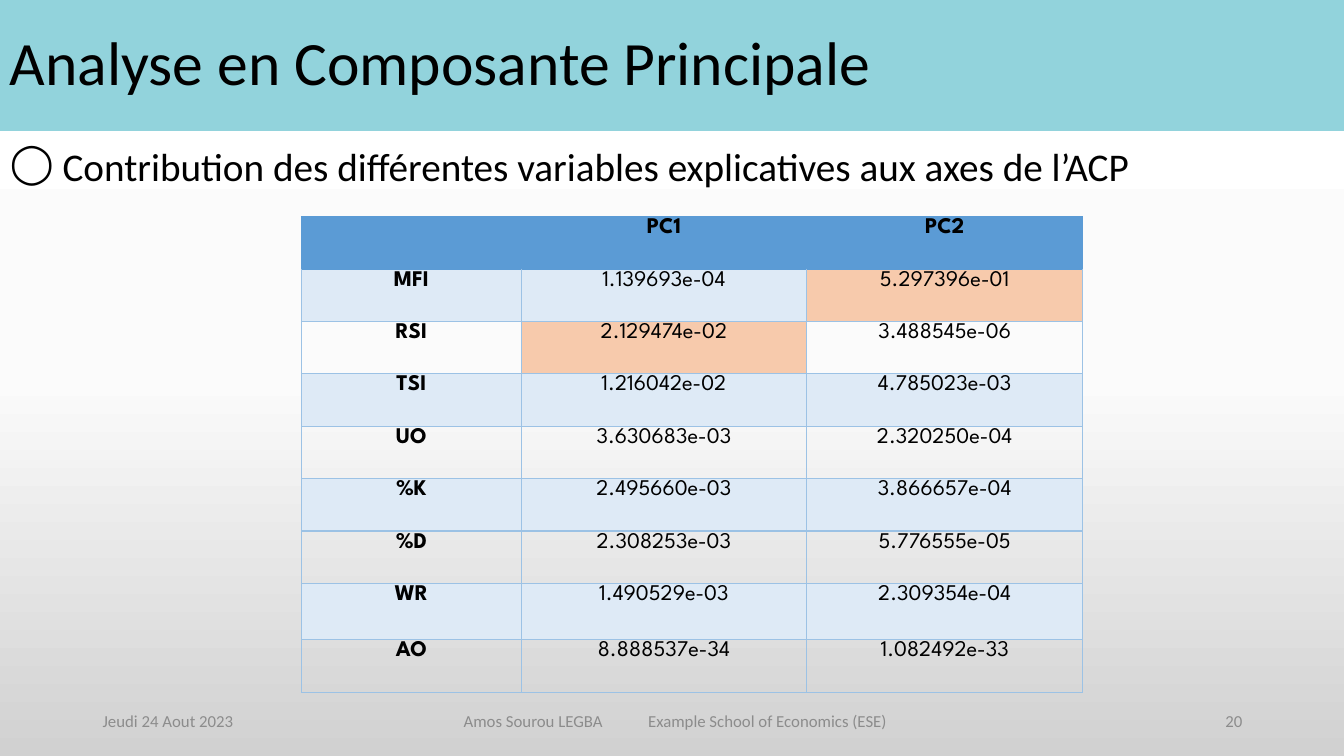
from copy import deepcopy

from lxml import etree
from pptx import Presentation
from pptx.dml.color import RGBColor
from pptx.enum.shapes import MSO_SHAPE
from pptx.enum.text import MSO_ANCHOR, PP_ALIGN
from pptx.oxml.ns import qn
from pptx.util import Pt

EMU_PER_PX = 9144
LEFT, CENTER, RIGHT = PP_ALIGN.LEFT, PP_ALIGN.CENTER, PP_ALIGN.RIGHT
TOP, MIDDLE = MSO_ANCHOR.TOP, MSO_ANCHOR.MIDDLE
RECTANGLE = MSO_SHAPE.RECTANGLE

BLACK = RGBColor(0x00, 0x00, 0x00)
GREY = RGBColor(0x8C, 0x8C, 0x8C)
TEAL = RGBColor(0x92, 0xD3, 0xDC)
BLUE = RGBColor(0x5B, 0x9B, 0xD5)
LINE_BLUE = RGBColor(0x9C, 0xC2, 0xE5)
PALE_BLUE = RGBColor(0xDE, 0xEA, 0xF6)
PEACH = RGBColor(0xF7, 0xCA, 0xAC)
BACKGROUND = [
    (0, RGBColor(0xFF, 0xFF, 0xFF)),
    (0.5, RGBColor(0xFB, 0xFB, 0xFB)),
    (1, RGBColor(0xD1, 0xD1, 0xD1)),
]

TITLE = {"size": Pt(44), "name": "Calibri"}
BODY = {"size": Pt(28), "name": "Calibri"}
FOOTER = {"size": Pt(12), "name": "Calibri"}
CELL = {"size": Pt(16), "name": "League Spartan", "bold": False}
CELL_BOLD = {**CELL, "bold": True}

COLUMNS = [218, 283, 274]
ROWS = [52] * 7 + [56, 52]
CONTRIBUTIONS = [
    ("", "PC1", "PC2"),
    ("MFI", "1.139693e-04", "5.297396e-01"),
    ("RSI", "2.129474e-02", "3.488545e-06"),
    ("TSI", "1.216042e-02", "4.785023e-03"),
    ("UO", "3.630683e-03", "2.320250e-04"),
    ("%K", "2.495660e-03", "3.866657e-04"),
    ("%D", "2.308253e-03", "5.776555e-05"),
    ("WR", "1.490529e-03", "2.309354e-04"),
    ("AO", "8.888537e-34", "1.082492e-33"),
]
HIGHLIGHTS = {(1, 2), (2, 1)}
FOOTERS = [
    ("Jeudi 24 Aout 2023", (92, 695, 300, 40), LEFT),
    ("Amos Sourou LEGBA", (450, 695, 170, 40), LEFT),
    ("Example School of Economics (ESE)", (633, 695, 270, 40), LEFT),
    ("20", (942, 695, 300, 40), RIGHT),
]


def px(length):
    """Turn whole pixels into EMU."""
    return length * EMU_PER_PX


class SlideBuilder:
    """Draws styled elements on the current slide."""

    def __init__(self, deck):
        self.page = deck.slides.add_slide(deck.slide_layouts[6])

    def background(self, stops):
        fill = self.page.background.fill
        fill.gradient()
        fill.gradient_angle = 270
        stop_list = next(self.page.element.iter(qn("a:gsLst")))
        stop_list.append(deepcopy(stop_list[-1]))
        for stop, (position, color) in zip(fill.gradient_stops, stops):
            stop.position = position
            stop.color.rgb = color

    def fill_text(self, frame, text, style, color=BLACK, align=LEFT, spacing=None):
        para = frame.paragraphs[0]
        para.alignment = align
        para.line_spacing = spacing
        span = para.add_run()
        span.text = text
        span.font.color.rgb = color
        for name, value in style.items():
            setattr(span.font, name, value)
        return para

    def banner(self, text, place, fill):
        box = self.page.shapes.add_shape(RECTANGLE, *map(px, place))
        box.shadow.inherit = False
        box.fill.solid()
        box.fill.fore_color.rgb = fill
        box.line.fill.background()
        box.text_frame.vertical_anchor = MIDDLE
        self.fill_text(box.text_frame, text, TITLE, spacing=0.9)

    def text(self, text, place, style, anchor=TOP, **options):
        frame = self.page.shapes.add_textbox(*map(px, place)).text_frame
        frame.word_wrap = True
        frame.vertical_anchor = anchor
        return self.fill_text(frame, text, style, **options)

    def bullet(self, text, place, symbol):
        para = self.text(text, place, BODY, spacing=0.9)
        para.space_before = Pt(10)
        properties = para._p.get_or_add_pPr()
        properties.set("marL", str(px(25)))
        properties.set("indent", str(px(-25)))
        etree.SubElement(properties, qn("a:buChar")).set("char", symbol)

    def borders(self, cell, colors):
        properties = cell._tc.get_or_add_tcPr()
        for index, (side, color) in enumerate(colors.items()):
            line = etree.Element(qn(f"a:ln{side}"), w=str(Pt(1)))
            solid = etree.SubElement(line, qn("a:solidFill"))
            etree.SubElement(solid, qn("a:srgbClr")).set("val", str(color))
            properties.insert(index, line)

    def cell(self, cell, text, row, column):
        header = row == 0
        margins = {"margin_left": px(7), "margin_right": px(7),
                   "margin_top": 0, "margin_bottom": 0}
        for name, value in margins.items():
            setattr(cell, name, value)
        if row and row % 2 == 0 and (row, column) not in HIGHLIGHTS:
            cell.fill.background()
        else:
            cell.fill.solid()
            plain = BLUE if header else PALE_BLUE
            cell.fill.fore_color.rgb = PEACH if (row, column) in HIGHLIGHTS else plain
        edge = BLUE if header else LINE_BLUE
        self.borders(cell, {"L": edge, "R": edge, "T": BLUE if row < 2 else edge, "B": BLUE if header else edge})
        if text:
            style = CELL_BOLD if header or column == 0 else CELL
            self.fill_text(cell.text_frame, text, style, align=CENTER, spacing=1.07)

    def table(self, left, top, columns, rows, values):
        size = map(px, (left, top, sum(columns), sum(rows)))
        table = self.page.shapes.add_table(len(rows), len(columns), *size).table
        table.first_row = table.horz_banding = False
        for column, width in zip(table.columns, columns):
            column.width = px(width)
        for row, height in zip(table.rows, rows):
            row.height = px(height)
        for row, texts in enumerate(values):
            for column, text in enumerate(texts):
                self.cell(table.cell(row, column), text, row, column)


def main():
    """Build the slide and save it."""
    deck = Presentation()
    deck.slide_width, deck.slide_height = px(1333), px(750)
    slide = SlideBuilder(deck)
    slide.background(BACKGROUND)
    slide.banner("Analyse en Composante Principale", (0, 0, 1333, 130), TEAL)
    slide.bullet(" Contribution des différentes variables explicatives aux axes de l’ACP",
                 (0, 142, 1333, 546), "◯")
    for text, place, align in FOOTERS:
        slide.text(text, place, FOOTER, anchor=MIDDLE, color=GREY, align=align)
    slide.table(299, 215, COLUMNS, ROWS, CONTRIBUTIONS)
    deck.save("out.pptx")


if __name__ == "__main__":
    main()
